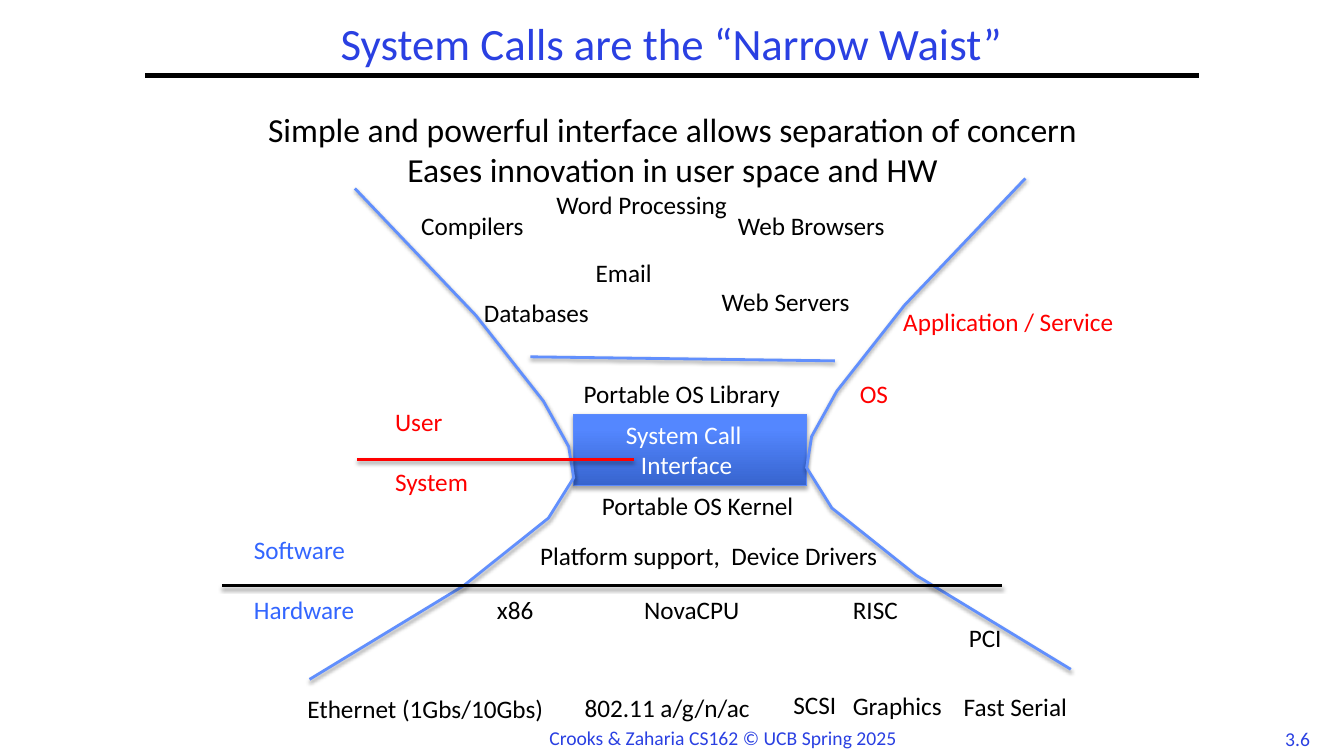
"""Draw the hourglass of system calls between software and hardware."""
from copy import deepcopy
from dataclasses import dataclass

from lxml import etree
from pptx import Presentation
from pptx import util as u
from pptx.dml.color import RGBColor
from pptx.enum import shapes, text
from pptx.oxml import ns

COLOURS = {
    "black": "000000", "white": "FFFFFF", "red": "FF0000", "title": "2A40E2",
    "blue": "3366FF", "curve": "618FFD", "edge": "5B8AFB",
    "deep": "3764CE", "mid": "5487FF", "light": "5688FF",
}
FONT = "Calibri"
CELL = u.Inches(0.1)
COLS, ROWS = 133.3, 75
MIRROR = 136.9
LEFT, MID = text.PP_ALIGN.LEFT, text.PP_ALIGN.CENTER


@dataclass
class Label:
    words: str
    col: float
    row: float
    wide: float
    hue: str = "black"
    high: float = 4
    size: int = 18
    align: text.PP_ALIGN = LEFT
    wrap: bool = False


@dataclass
class Rule:
    start: tuple[float, float]
    end: tuple[float, float]
    hue: str
    weight: float = 2
    shade: bool = True


LABELS = [
    Label("3.6", 125.8, 71.6, 5.8, "title", 3.3, 14, MID),
    Label("Crooks & Zaharia CS162 © UCB Spring 2025", 53.5, 71.5, 36.7, "title", 3.4, 14),
    Label("Compilers", 40.8, 20.4, 13.4),
    Label("Web Servers", 70.6, 27.9, 16.6),
    Label("Web Browsers", 72.2, 20.4, 18.4),
    Label("Databases", 47, 29, 14.1),
    Label("Email", 58.1, 25, 8.3),
    Label("Word Processing", 54.2, 18.3, 21.2),
    Label("Portable OS Library", 56.9, 37, 24.2),
    Label("System Call \nInterface", 60, 41.1, 16.2, "white", 7.1, align=MID, wrap=True),
    Label("Portable OS Kernel", 58.7, 48.2, 23.8),
    Label("Platform support,  Device Drivers", 52.6, 53.1, 39),
    Label("x86", 48.3, 58.5, 6.1),
    Label("RISC", 83.6, 58.5, 7.6),
    Label("NovaCPU", 62.9, 58.5, 12.7),
    Label("Ethernet (1Gbs/10Gbs)", 29.5, 68.3, 28.1),
    Label("802.11 a/g/n/ac", 57, 68.2, 19.2),
    Label("SCSI", 77.7, 67.9, 7.9),
    Label("Fast Serial", 94.6, 68.1, 15.5),
    Label("Graphics", 83.6, 68, 12.1),
    Label("PCI", 95.1, 61.2, 6.2),
    Label("Hardware", 24.2, 58.5, 13, "blue"),
    Label("Software", 24.2, 52.5, 12, "blue"),
    Label("System", 38.2, 45.8, 10.4, "red"),
    Label("User", 38.2, 39.8, 7.3, "red"),
    Label("OS", 84.3, 37, 5.7, "red"),
    Label("Application / Service", 88.6, 29.9, 24.9, "red"),
    Label("Simple and powerful interface allows separation of concern\n"
          "Eases innovation in user space and HW",
          3.1, 10.3, 127.2, high=9.1, size=24, align=MID, wrap=True),
]
TITLE = Label("System Calls are the “Narrow Waist”", 14.4, 1.7, 104.4, "title",
              5.8, 32, MID, True)
RULES = [
    Rule((14.4, 7.5), (118.9, 7.5), "black", 3, False),
    Rule((52.6, 35.4), (82.8, 35.8), "curve"),
    Rule((22, 58.1), (99.4, 58.1), "black"),
    Rule((35.4, 45.6), (62.9, 45.6), "red"),
]
FLANK = [(35.2, 18.7), (47.2, 31.3), (53.9, 39.8), (56.4, 44.3),
         (56.9, 47.4), (54.4, 51.4), (46, 58.1), (30.7, 67.4)]


def span(*cells: float) -> list[int]:
    """Turn grid cells into slide lengths."""
    return [round(cell * CELL) for cell in cells]


def tint(name: str) -> RGBColor:
    """Look up a named colour."""
    return RGBColor.from_string(COLOURS[name])


def set_shade(shape, alpha: int = 38, far: float = 1.6, shown: bool = True) -> None:
    """Give a shape a soft shadow below it, or none."""
    props = shape._element.spPr
    group = etree.SubElement(props, ns.qn("a:effectLst"))
    if shown:
        drop = etree.SubElement(group, ns.qn("a:outerShdw"), blurRad=str(u.Pt(3.1)),
                                dist=str(u.Pt(far)), dir="5400000", rotWithShape="0")
        hue = etree.SubElement(drop, ns.qn("a:srgbClr"), val=COLOURS["black"])
        etree.SubElement(hue, ns.qn("a:alpha"), val=str(alpha * 1000))


def add_label(slide, label: Label):
    """Write one label, a paragraph per line."""
    box = slide.shapes.add_textbox(*span(label.col, label.row, label.wide, label.high))
    frame = box.text_frame
    frame.word_wrap = label.wrap
    frame.auto_size = text.MSO_AUTO_SIZE.SHAPE_TO_FIT_TEXT
    for i, line in enumerate(label.words.split("\n")):
        para = frame.add_paragraph() if i else frame.paragraphs[0]
        para.alignment = label.align
        run = para.add_run()
        run.text = line
        run.font.name, run.font.size = FONT, u.Pt(label.size)
        run.font.color.rgb = tint(label.hue)
    return box


def add_title(slide) -> None:
    """Write the slide title, centred in its band."""
    frame = add_label(slide, TITLE).text_frame
    frame.auto_size = text.MSO_AUTO_SIZE.NONE
    frame.vertical_anchor = text.MSO_ANCHOR.MIDDLE
    frame.paragraphs[0].line_spacing = 0.9


def add_rule(slide, rule: Rule) -> None:
    """Draw one straight line."""
    line = slide.shapes.add_connector(shapes.MSO_CONNECTOR.STRAIGHT,
                                      *span(*rule.start, *rule.end))
    line.line.color.rgb = tint(rule.hue)
    line.line.width = u.Pt(rule.weight)
    set_shade(line, shown=rule.shade)


def add_flank(slide, points: list[tuple[float, float]]) -> None:
    """Draw one side of the hourglass."""
    first, *rest = [span(*point) for point in points]
    build = slide.shapes.build_freeform(*first)
    build.add_line_segments(rest, close=False)
    side = build.convert_to_shape()
    side.fill.background()
    side.line.color.rgb = tint("curve")
    side.line.width = u.Pt(2)
    set_shade(side)


def add_waist(slide) -> None:
    """Draw the shaded block at the narrow waist."""
    block = slide.shapes.add_shape(shapes.MSO_SHAPE.RECTANGLE,
                                   *span(56.9, 41.1, 23.1, 7.1))
    block.fill.gradient()
    block.fill.gradient_angle = 90
    stops = block._element.spPr.find(".//" + ns.qn("a:gsLst"))
    stops.append(deepcopy(stops[-1]))
    shades = [("deep", 0), ("mid", 0.8), ("light", 1)]
    for stop, (name, place) in zip(block.fill.gradient_stops, shades):
        stop.color.rgb, stop.position = tint(name), place
    block.line.color.rgb = tint("edge")
    block.line.width = u.Pt(0.75)
    set_shade(block, 35, 1.8)


def main() -> None:
    """Build the slide and save it."""
    deck = Presentation()
    deck.slide_width, deck.slide_height = span(COLS, ROWS)
    slide = deck.slides.add_slide(deck.slide_layouts[6])
    add_title(slide)
    add_waist(slide)
    for label in LABELS:
        add_label(slide, label)
    add_flank(slide, FLANK)
    add_flank(slide, [(MIRROR - col, row - 1) for col, row in FLANK])
    for rule in RULES:
        add_rule(slide, rule)
    deck.save("out.pptx")


if __name__ == "__main__":
    main()
